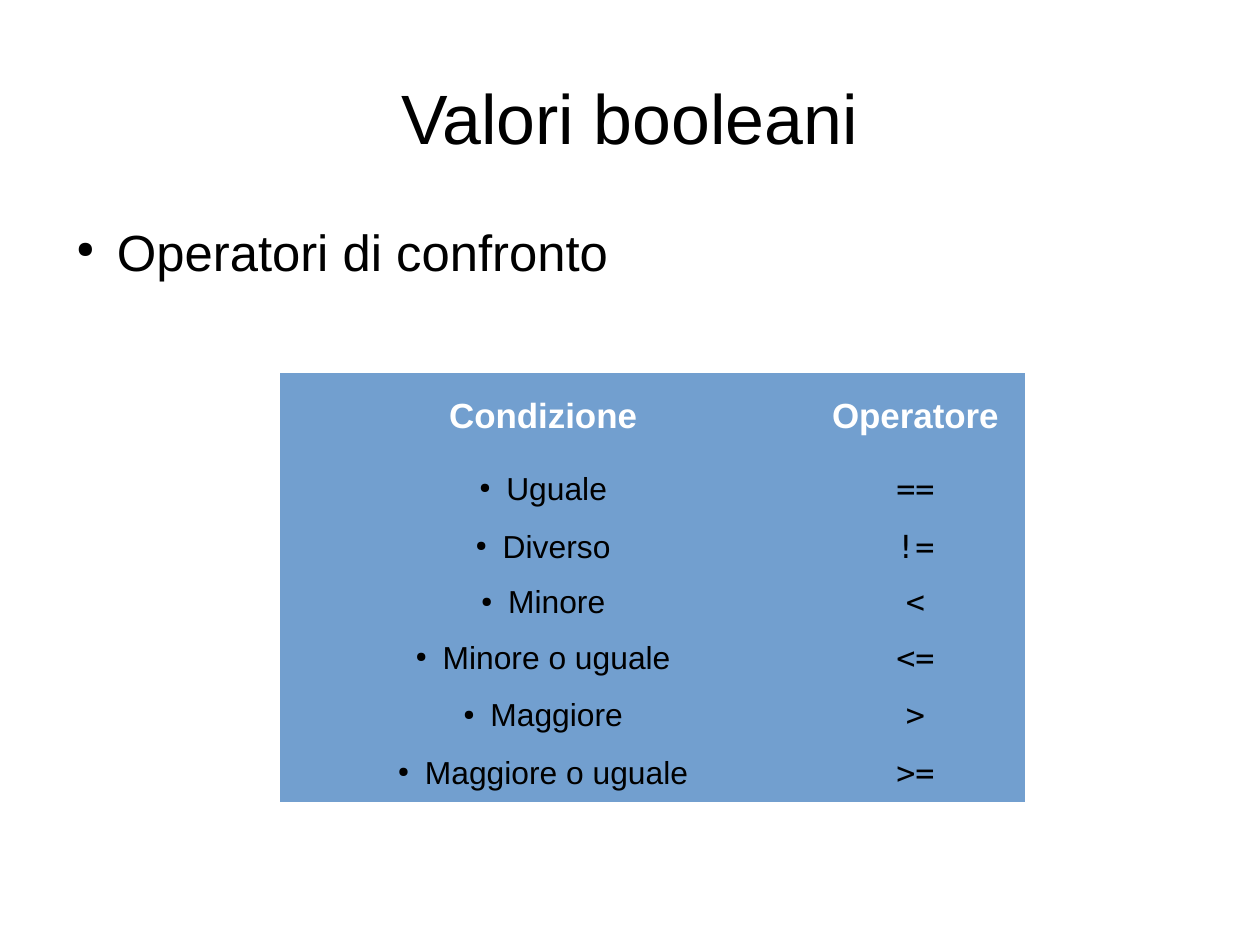
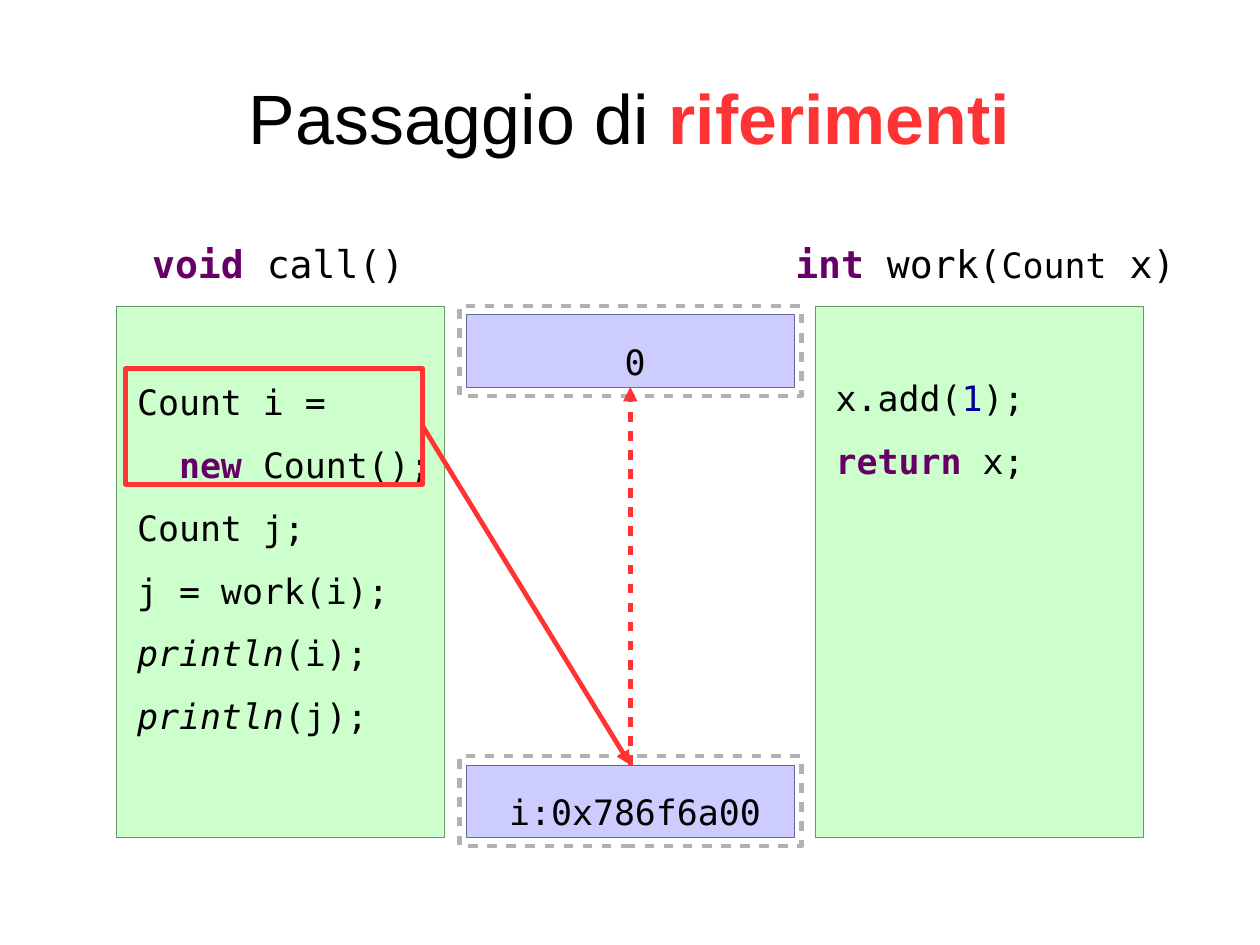
from dataclasses import dataclass

from lxml import etree
from pptx import Presentation
from pptx.dml.color import RGBColor
from pptx.enum.shapes import MSO_CONNECTOR, MSO_SHAPE
from pptx.enum.text import MSO_ANCHOR, MSO_AUTO_SIZE, PP_ALIGN
from pptx.oxml.ns import qn
from pptx.util import Pt

RECT, STRAIGHT = MSO_SHAPE.RECTANGLE, MSO_CONNECTOR.STRAIGHT
TOP, MIDDLE = MSO_ANCHOR.TOP, MSO_ANCHOR.MIDDLE
LEFT, CENTER = PP_ALIGN.LEFT, PP_ALIGN.CENTER

SANS, MONO = "Arial", "DejaVu Sans Mono"
COLORS = {
    "text": "000000", "white": "FFFFFF", "accent": "FF3333",
    "table": "729FCF", "code": "CCFFCC", "code_line": "669966",
    "memory": "CCCCFF", "memory_line": "666699", "frame": "B2B2B2",
    "keyword": "660066", "number": "000099",
}
NO_GRID_STYLE = "{2D5ABB26-0587-4C30-8999-92F81FD0307C}"
TITLE_ONLY = 5
HAIRLINE, THICK = 0.5, 3
CODE_PITCH = 39.6
INSETS = (7.2, 3.6, 7.2, 3.6)


@dataclass(frozen=True)
class Box:
    x: float
    y: float
    w: float
    h: float

    def lengths(self) -> tuple:
        return Pt(self.x), Pt(self.y), Pt(self.w), Pt(self.h)

    def grown(self, dx: float, dy: float) -> "Box":
        return Box(self.x - dx, self.y - dy, self.w + 2 * dx, self.h + 2 * dy)


@dataclass(frozen=True)
class Run:
    text: str
    color: str = "text"
    bold: bool = False
    italic: bool = False
    size: float = 22
    font: str = MONO


@dataclass(frozen=True)
class CodeBlock:
    label_box: Box
    label: list[Run]
    box: Box
    top_inset: float
    lines: list[list[Run]]


TITLE_BOX = Box(39.6, 23.8, 714.2, 99.4)
BODY_BOX = Box(39.6, 139, 714.2, 344.9)
TABLE_BOX = Box(176.4, 234.7, 469.4, 270)
COLUMN_WIDTHS = (331.5, 137.5)
ROW_HEIGHTS = (55.6, 36.2, 36.2, 34, 36.2, 36.2, 36.2)
COMPARISONS = [
    ("Uguale", "=="), ("Diverso", "!="), ("Minore", "<"),
    ("Minore o uguale", "<="), ("Maggiore", ">"), ("Maggiore o uguale", ">="),
]

COLUMN_W, CODE_Y, CODE_H = 206.6, 193, 334.8
CALL_X, MEMORY_X, WORK_X = 73.4, 293.8, 513.4
CODE_BLOCKS = [
    CodeBlock(
        Box(CALL_X, 147.6, 203.8, 37.4),
        [Run("void", "keyword", bold=True, size=24), Run(" call()", size=24)],
        Box(CALL_X, CODE_Y, COLUMN_W, CODE_H), 33.5,
        [
            [Run("Count i =")],
            [Run("  new", "keyword", bold=True), Run(" Count();")],
            [Run("Count j;")],
            [Run("j = work(i);")],
            [Run("println", italic=True), Run("(i);")],
            [Run("println", italic=True), Run("(j);")],
        ],
    ),
    CodeBlock(
        Box(476, 147.6, 289.4, 35.3),
        [Run("int", "keyword", bold=True, size=24), Run(" work(", size=24),
         Run("Count"), Run(" x)", size=24)],
        Box(WORK_X, CODE_Y, COLUMN_W, CODE_H), 31.3,
        [
            [Run("x.add("), Run("1", "number"), Run(");")],
            [Run("return", "keyword", bold=True), Run(" x;")],
        ],
    ),
]
VALUE_BOX = Box(MEMORY_X, 198.4, COLUMN_W, 45.4)
ADDRESS_BOX = Box(MEMORY_X, 481.9, COLUMN_W, 45.4)
HIGHLIGHT_BOX = Box(79.2, 232.3, 187.2, 72.7)


def rgb(name: str) -> RGBColor:
    return RGBColor.from_string(COLORS[name])


def add_runs(p, runs: list[Run]) -> None:
    for run in runs:
        r = p.add_run()
        r.text = run.text
        f = r.font
        f.name, f.size = run.font, Pt(run.size)
        f.bold, f.italic = run.bold, run.italic
        f.color.rgb = rgb(run.color)


def add_bullet(p, margin: float, hanging: float) -> None:
    pPr = p._p.get_or_add_pPr()
    pPr.set("marL", str(Pt(margin)))
    pPr.set("indent", str(-Pt(hanging)))
    color = etree.SubElement(pPr, qn("a:buClr"))
    etree.SubElement(color, qn("a:srgbClr"), val=COLORS["text"])
    etree.SubElement(pPr, qn("a:buSzPct"), val="45000")
    etree.SubElement(pPr, qn("a:buChar"), char="●")


def set_frame(tf, insets: tuple = INSETS, anchor=TOP) -> None:
    tf.word_wrap, tf.auto_size = True, MSO_AUTO_SIZE.NONE
    tf.vertical_anchor = anchor
    tf.margin_left, tf.margin_top, tf.margin_right, tf.margin_bottom = map(Pt, insets)


def write_lines(tf, lines: list[list[Run]], align=LEFT, pitch: float | None = None) -> None:
    for i, runs in enumerate(lines):
        p = tf.add_paragraph() if i else tf.paragraphs[0]
        p.alignment = align
        if pitch:
            p.line_spacing = Pt(pitch)
        add_runs(p, runs)


def add_titled_slide(prs, title: list[Run]):
    s = prs.slides.add_slide(prs.slide_layouts[TITLE_ONLY])
    sp = s.shapes.title
    sp.left, sp.top, sp.width, sp.height = TITLE_BOX.lengths()
    set_frame(sp.text_frame, (0, 0, 0, 0), MIDDLE)
    write_lines(sp.text_frame, [title], CENTER)
    return s


def add_text(s, box: Box, runs: list[Run], align=LEFT, insets: tuple = INSETS):
    tf = s.shapes.add_textbox(*box.lengths()).text_frame
    set_frame(tf, insets)
    write_lines(tf, [runs], align)
    return tf


def add_rect(s, box: Box, line: str, width: float, fill: str | None = None):
    sp = s.shapes.add_shape(RECT, *box.lengths())
    sp.shadow.inherit = False
    if fill:
        sp.fill.solid()
        sp.fill.fore_color.rgb = rgb(fill)
    else:
        sp.fill.background()
    sp.line.color.rgb = rgb(line)
    sp.line.width = Pt(width)
    return sp


def set_dashes(line) -> None:
    """Dash with equal strokes and gaps, twice the line width."""
    fill = line._ln.find(qn("a:solidFill"))
    dashes = etree.Element(qn("a:custDash"))
    etree.SubElement(dashes, qn("a:ds"), d="200000", sp="200000")
    fill.addnext(dashes)


def add_arrow(s, start: tuple[float, float], end: tuple[float, float], dashed: bool = False) -> None:
    cx = s.shapes.add_connector(STRAIGHT, *map(Pt, start + end))
    cx.line.color.rgb = rgb("accent")
    cx.line.width = Pt(THICK)
    if dashed:
        set_dashes(cx.line)
    etree.SubElement(cx.line._ln, qn("a:tailEnd"), type="triangle")
    etree.SubElement(cx._element.spPr, qn("a:effectLst"))


def add_code_block(s, block: CodeBlock) -> None:
    sp = add_rect(s, block.box, "code_line", HAIRLINE, "code")
    set_frame(sp.text_frame, (13, block.top_inset, 0, 3.6))
    write_lines(sp.text_frame, block.lines, pitch=CODE_PITCH)
    add_text(s, block.label_box, block.label, CENTER)


def add_memory_cell(s, box: Box, text: str) -> None:
    frame = add_rect(s, box.grown(4.4, 5.6), "frame", THICK)
    set_dashes(frame.line)
    sp = add_rect(s, box, "memory_line", HAIRLINE, "memory")
    set_frame(sp.text_frame, (13, 3.6, 7.2, 3.6), MIDDLE)
    write_lines(sp.text_frame, [[Run(text)]], CENTER, CODE_PITCH)


def add_comparison_table(s) -> None:
    rows = [("Condizione", "Operatore"), *COMPARISONS]
    table = s.shapes.add_table(len(rows), len(COLUMN_WIDTHS), *TABLE_BOX.lengths()).table
    table.first_row = table.horz_banding = False
    table._tbl.tblPr.find(qn("a:tableStyleId")).text = NO_GRID_STYLE
    for column, width in zip(table.columns, COLUMN_WIDTHS):
        column.width = Pt(width)
    for i, (values, height) in enumerate(zip(rows, ROW_HEIGHTS)):
        table.rows[i].height = Pt(height)
        for j, value in enumerate(values):
            cell = table.cell(i, j)
            cell.fill.solid()
            cell.fill.fore_color.rgb = rgb("table")
            cell.vertical_anchor = MIDDLE
            p = cell.text_frame.paragraphs[0]
            p.alignment = CENTER
            if i == 0:
                run = Run(value, "white", bold=True, font=SANS)
            else:
                run = Run(value, size=20, font=MONO if j else SANS)
                if j == 0:
                    add_bullet(p, 17, 17)
            add_runs(p, [run])


def build_booleans(prs) -> None:
    s = add_titled_slide(prs, [Run("Valori booleani", size=44, font=SANS)])
    body = [Run("Operatori di confronto", size=32, font=SANS)]
    tf = add_text(s, BODY_BOX, body, insets=(0, 0, 0, 0))
    add_bullet(tf.paragraphs[0], 34, 25.5)
    add_comparison_table(s)


def build_references(prs) -> None:
    s = add_titled_slide(prs, [
        Run("Passaggio di ", size=44, font=SANS),
        Run("riferimenti", "accent", bold=True, size=44, font=SANS),
    ])
    for block in CODE_BLOCKS:
        add_code_block(s, block)
    add_memory_cell(s, ADDRESS_BOX, "i:0x786f6a00")
    add_memory_cell(s, VALUE_BOX, "0")
    add_rect(s, HIGHLIGHT_BOX, "accent", THICK)
    middle = MEMORY_X + COLUMN_W / 2
    address_top = (middle, ADDRESS_BOX.y)
    highlight_right = (HIGHLIGHT_BOX.x + HIGHLIGHT_BOX.w, HIGHLIGHT_BOX.y + HIGHLIGHT_BOX.h / 2)
    add_arrow(s, highlight_right, address_top)
    add_arrow(s, address_top, (middle, VALUE_BOX.y + VALUE_BOX.h), dashed=True)


def main() -> None:
    prs = Presentation()
    prs.slide_width, prs.slide_height = Pt(793.7), Pt(595.3)
    build_booleans(prs)
    build_references(prs)
    prs.save("out.pptx")


if __name__ == "__main__":
    main()
